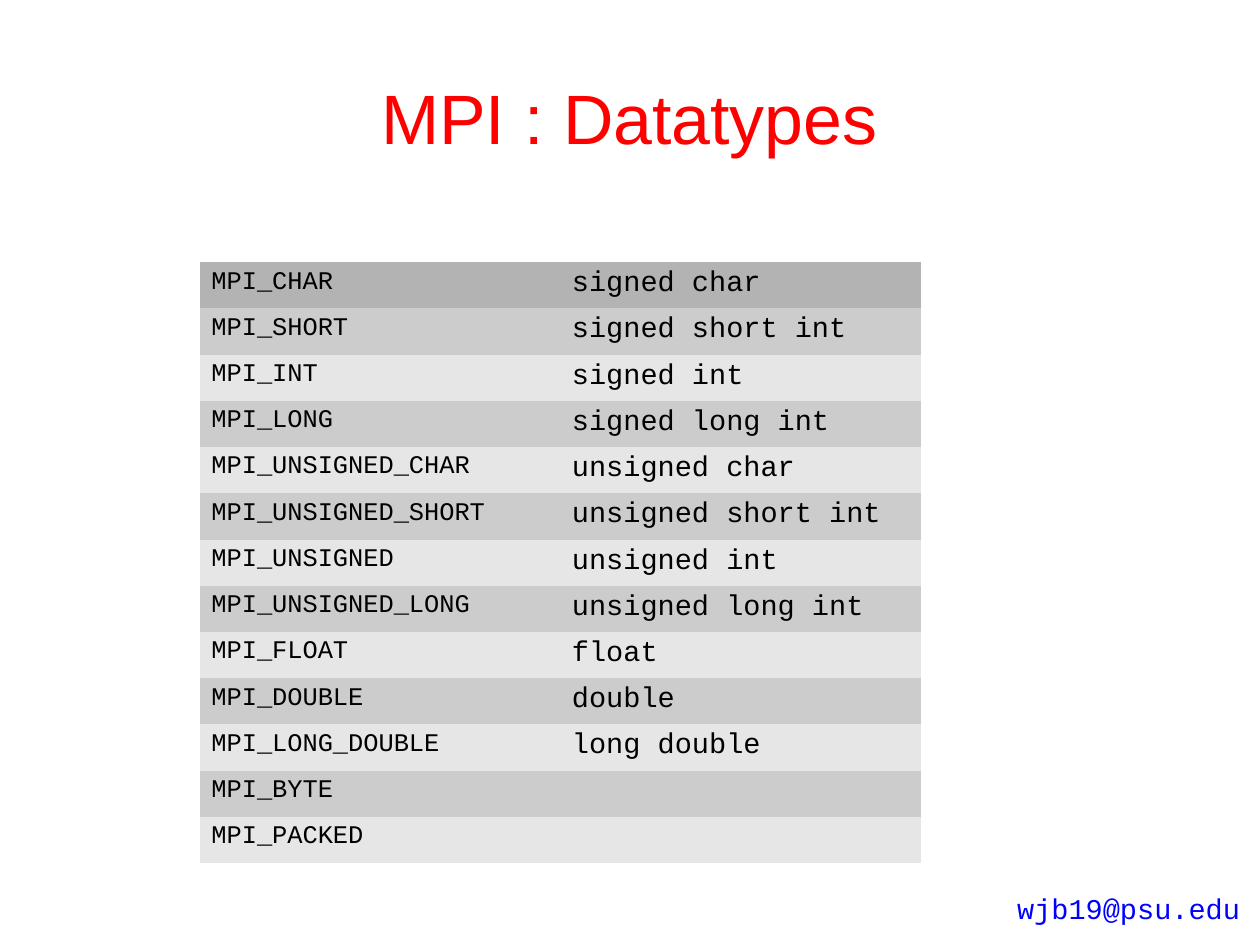
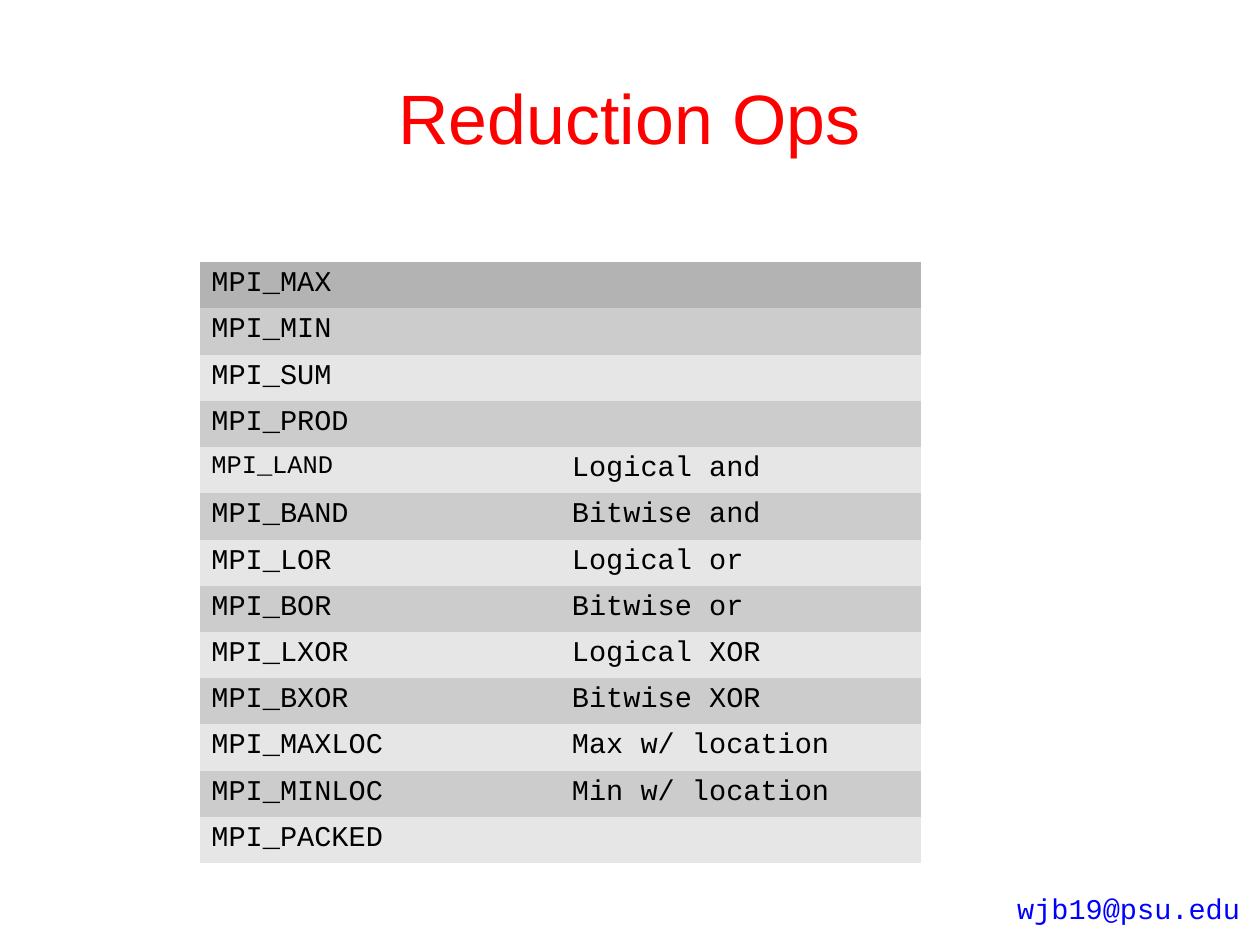
from pptx import Presentation
from pptx.dml.color import RGBColor
from pptx.enum.text import MSO_ANCHOR as Anchor, PP_ALIGN as Align
from pptx.oxml.ns import qn
from pptx.util import Pt

PLAIN_TABLE = "{2D5ABB26-0587-4C30-8999-92F81FD0307C}"

DATATYPES = [
    ("MPI_CHAR", "signed char"),
    ("MPI_SHORT", "signed short int"),
    ("MPI_INT", "signed int"),
    ("MPI_LONG", "signed long int"),
    ("MPI_UNSIGNED_CHAR", "unsigned char"),
    ("MPI_UNSIGNED_SHORT", "unsigned short int"),
    ("MPI_UNSIGNED", "unsigned int"),
    ("MPI_UNSIGNED_LONG", "unsigned long int"),
    ("MPI_FLOAT", "float"),
    ("MPI_DOUBLE", "double"),
    ("MPI_LONG_DOUBLE", "long double"),
    ("MPI_BYTE", ""),
    ("MPI_PACKED", ""),
]

REDUCTIONS = [
    ("MPI_MAX", ""),
    ("MPI_MIN", ""),
    ("MPI_SUM", ""),
    ("MPI_PROD", ""),
    ("MPI_LAND", "Logical and"),
    ("MPI_BAND", "Bitwise and"),
    ("MPI_LOR", "Logical or"),
    ("MPI_BOR", "Bitwise or"),
    ("MPI_LXOR", "Logical XOR"),
    ("MPI_BXOR", "Bitwise XOR"),
    ("MPI_MAXLOC", "Max w/ location"),
    ("MPI_MINLOC", "Min w/ location"),
    ("MPI_PACKED", ""),
]


def color(value):
    return RGBColor.from_string(value)


class Slides:
    heading_font, code_font = "Arial", "Courier New"
    red, blue, black = "FF0000", "0000FF", "000000"
    header_fill, bands = "B3B3B3", ("CCCCCC", "E6E6E6")
    small, normal, large = 16, 18, 44

    def __init__(self):
        self.deck = Presentation()
        self.deck.slide_width = Pt(793.7)
        self.deck.slide_height = Pt(595.3)

    def page(self, title):
        self.slide = self.deck.slides.add_slide(self.deck.slide_layouts[6])
        self.title(title)
        self.footer("wjb19@psu.edu")

    def set_text(self, frame, text, font, size, ink):
        frame.text = text
        para = frame.paragraphs[0]
        para.font.size = Pt(size)
        for span in para.runs:
            span.font.name = font
            span.font.size = Pt(size)
            span.font.color.rgb = color(ink)
        return para

    def title(self, text):
        box = self.slide.shapes.add_textbox(Pt(39.6), Pt(23.8), Pt(714.2), Pt(99.4))
        frame = box.text_frame
        frame.word_wrap = True
        frame.vertical_anchor = Anchor.MIDDLE
        frame.margin_left = frame.margin_right = 0
        frame.margin_top = frame.margin_bottom = 0
        para = self.set_text(frame, text, self.heading_font, self.large, self.red)
        para.alignment = Align.CENTER

    def footer(self, text):
        box = self.slide.shapes.add_textbox(Pt(633.6), Pt(558), Pt(154.8), Pt(27.4))
        box.text_frame.word_wrap = False
        self.set_text(box.text_frame, text, self.code_font, self.normal, self.blue)

    def table(self, rows, small_names):
        height = 29.12
        frame = self.slide.shapes.add_table(
            len(rows), 2, Pt(126), Pt(165.2), Pt(454.2), Pt(height * len(rows)))
        table = frame.table
        table.first_row = table.horz_banding = False
        table._tbl.tblPr.find(qn("a:tableStyleId")).text = PLAIN_TABLE
        for index, values in enumerate(rows):
            table.rows[index].height = Pt(height)
            fill = self.bands[(index - 1) % 2] if index else self.header_fill
            for column, text in enumerate(values):
                cell = table.cell(index, column)
                cell.fill.solid()
                cell.fill.fore_color.rgb = color(fill)
                size = self.small if text in small_names else self.normal
                self.set_text(cell.text_frame, text, self.code_font, size, self.black)


def main():
    slides = Slides()
    slides.page("MPI : Datatypes")
    slides.table(DATATYPES, [name for name, meaning in DATATYPES])
    slides.page("Reduction Ops")
    slides.table(REDUCTIONS, ["MPI_LAND"])
    slides.deck.save("out.pptx")


if __name__ == "__main__":
    main()
